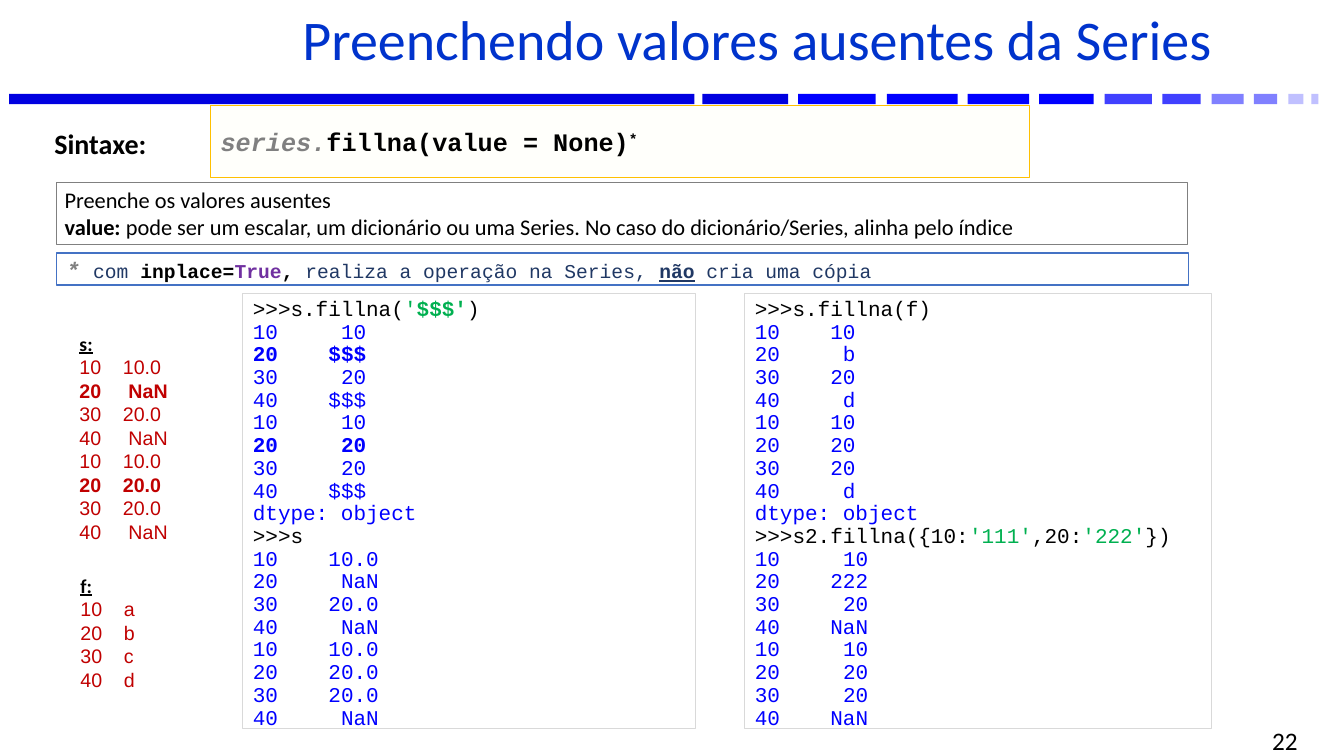
from collections import namedtuple

from lxml.etree import SubElement
from pptx import Presentation
from pptx.dml.color import RGBColor
from pptx.enum.shapes import MSO_SHAPE as Shape
from pptx.enum.text import MSO_ANCHOR as Anchor, PP_ALIGN as Align
from pptx.oxml.ns import qn
from pptx.util import Pt

BLACK, GRAY, NAVY, BLUE = "000000", "808080", "203864", "0000FF"
GREEN, RED, PURPLE = "00B050", "C00000", "7030A0"

# flags: b bold, i italic, u underline, ^ superscript
Run = namedtuple("Run", "text color flags size font", defaults=(BLACK, "", None, None))
# tab: (position in points, "l" or "r")
Line = namedtuple("Line", "runs tab", defaults=(None,))


def color(hex_value):
    return RGBColor.from_string(hex_value)


def add_panel(box, lines, font, size, fill=None, border=None, border_width=0.75,
              anchor=Anchor.TOP, margins=(7.2, 3.6), align=Align.LEFT, spacing=1.0):
    shape = slide.shapes.add_shape(Shape.RECTANGLE, *[Pt(value) for value in box])
    shape.shadow.inherit = False
    if fill:
        shape.fill.solid()
        shape.fill.fore_color.rgb = color(fill)
    else:
        shape.fill.background()
    if border:
        shape.line.color.rgb = color(border)
        shape.line.width = Pt(border_width)
    else:
        shape.line.fill.background()
    text_frame = shape.text_frame
    text_frame.word_wrap = True
    text_frame.vertical_anchor = anchor
    text_frame.margin_left = text_frame.margin_right = Pt(margins[0])
    text_frame.margin_top = text_frame.margin_bottom = Pt(margins[1])
    for index, line in enumerate(lines):
        paragraph = text_frame.add_paragraph() if index else text_frame.paragraphs[0]
        paragraph.alignment = align
        paragraph.line_spacing = spacing
        if line.tab:
            tabs = SubElement(paragraph._p.get_or_add_pPr(), qn("a:tabLst"))
            SubElement(tabs, qn("a:tab"), pos=str(Pt(line.tab[0])), algn=line.tab[1])
        for part in line.runs:
            run = paragraph.add_run()
            run.text = part.text
            run.font.name = part.font or font
            run.font.size = Pt(part.size or size)
            run.font.color.rgb = color(part.color)
            run.font.bold = "b" in part.flags
            run.font.italic = "i" in part.flags
            run.font.underline = "u" in part.flags
            if "^" in part.flags:
                run._r.get_or_add_rPr().set("baseline", "30000")


presentation = Presentation()
presentation.slide_width = Pt(960)
presentation.slide_height = Pt(540)
slide = presentation.slides.add_slide(presentation.slide_layouts[6])

# Fading bar under the title: left, width, colour
title_bars = [
    (6.5, 489.6, "0000E0"), (501.8, 61.2, "0000E0"), (570.2, 55.4, "0000FF"),
    (633.6, 50.4, "0000FF"), (691.2, 43.9, "0000FF"), (742.3, 38.9, "0000FF"),
    (789.1, 33.8, "4040FF"), (830.2, 27.4, "4040FF"), (865.4, 23, "8080FF"),
    (895.7, 16.6, "8080FF"), (920.2, 10.8, "C0C0FF"), (936.7, 5, "C0C0FF"),
]
for left, width, shade in title_bars:
    bar = slide.shapes.add_shape(Shape.RECTANGLE, Pt(left), Pt(67), Pt(width), Pt(7.4))
    bar.shadow.inherit = False
    bar.fill.solid()
    bar.fill.fore_color.rgb = color(shade)
    bar.line.fill.background()

# Title and slide number
add_panel((139.7, 4.3, 802, 55.4),
          [Line([Run("Preenchendo valores ausentes da Series", "0033CC")])],
          "Calibri", 40, anchor=Anchor.MIDDLE, align=Align.CENTER, spacing=0.8)
add_panel((710, 520.6, 224, 15.8), [Line([Run("22")])],
          "Calibri", 18, anchor=Anchor.MIDDLE, align=Align.RIGHT)

# Syntax
add_panel((31.7, 87.1, 102.2, 31.7), [Line([Run("Sintaxe:", flags="b")])], "Calibri", 20)
add_panel((150.5, 75.6, 584.6, 51.1),
          [Line([Run("series.", GRAY, "bi"), Run("fillna(value = None)", flags="b"),
                 Run("*", flags="b^")])],
          "Courier New", 18, fill="FFFFFB", border="FFC000",
          anchor=Anchor.MIDDLE, margins=(7.2, 0))

# Description and footnote
add_panel((40.3, 130.3, 807.8, 44.6),
          [Line([Run("Preenche os valores ausentes")]),
           Line([Run("value: ", flags="b"),
                 Run("pode ser um escalar, um dicionário ou uma Series. "
                     "No caso do dicionário/Series, alinha pelo índice")])],
          "Calibri", 16, border=GRAY, margins=(5.8, 2.9))
add_panel((40.3, 180.7, 808.6, 23),
          [Line([Run("* ", GRAY, "bi", 16), Run("com ", NAVY), Run("inplace=", flags="b"),
                 Run("True", PURPLE, "b"), Run(", ", flags="b"),
                 Run("realiza a operação na Series, ", NAVY), Run("não", NAVY, "bu"),
                 Run(" cria uma cópia", NAVY)])],
          "Courier New", 14, fill="FFFFFF", border="4472C4", border_width=1,
          anchor=Anchor.MIDDLE, margins=(7.2, 0))

# Input series: name, box, values, bold rows
indexes = [10, 20, 30, 40] * 2
input_series = [
    ("s:", (49.7, 233.3, 89.3, 159.8),
     ["10.0", "NaN", "20.0", "NaN", "10.0", "20.0", "20.0", "NaN"], (1, 5)),
    ("f:", (50.4, 406.1, 89.3, 92.2), ["a", "b", "c", "d"], ()),
]
for name, box, values, bold_rows in input_series:
    lines = [Line([Run(name, flags="bu", font="Calibri")])]
    for row, (index, value) in enumerate(zip(indexes, values)):
        lines.append(Line([Run(f"{index}\t{value}", RED, "b" if row in bold_rows else "")],
                          (35 if value == "NaN" else 31, "l")))
    add_panel(box, lines, "Arial", 14)

# Console panels: box, then sections of command, values, right edge, bold rows, type line
consoles = [
    ((173.5, 209.5, 323.3, 311), [
        ([Run(">>>s.fillna("), Run("'", GREEN), Run("$$$'", GREEN, "b"), Run(")")],
         ["10", "$$$", "20", "$$$", "10", "20", "20", "$$$"], 81, (1, 5), True),
        ([Run(">>>s")],
         ["10.0", "NaN", "20.0", "NaN", "10.0", "20.0", "20.0", "NaN"], 90, (), False),
    ]),
    ((532.1, 209.5, 333.4, 311), [
        ([Run(">>>s.fillna(f)")],
         ["10", "b", "20", "d", "10", "20", "20", "d"], 72, (), True),
        ([Run(">>>s2.fillna({10:"), Run("'111'", GREEN), Run(",20:"),
          Run("'222'", GREEN), Run("})")],
         ["10", "222", "20", "NaN", "10", "20", "20", "NaN"], 81, (), False),
    ]),
]
for box, sections in consoles:
    lines = []
    for command, values, right_edge, bold_rows, shows_type in sections:
        lines.append(Line(command))
        for row, (index, value) in enumerate(zip(indexes, values)):
            lines.append(Line([Run(f"{index}\t{value}", BLUE, "b" if row in bold_rows else "")],
                              (right_edge, "r")))
        if shows_type:
            lines.append(Line([Run("dtype: object", BLUE)]))
    add_panel(box, lines, "Courier New", 15, border="D9D9D9", spacing=0.9)

presentation.save("out.pptx")
